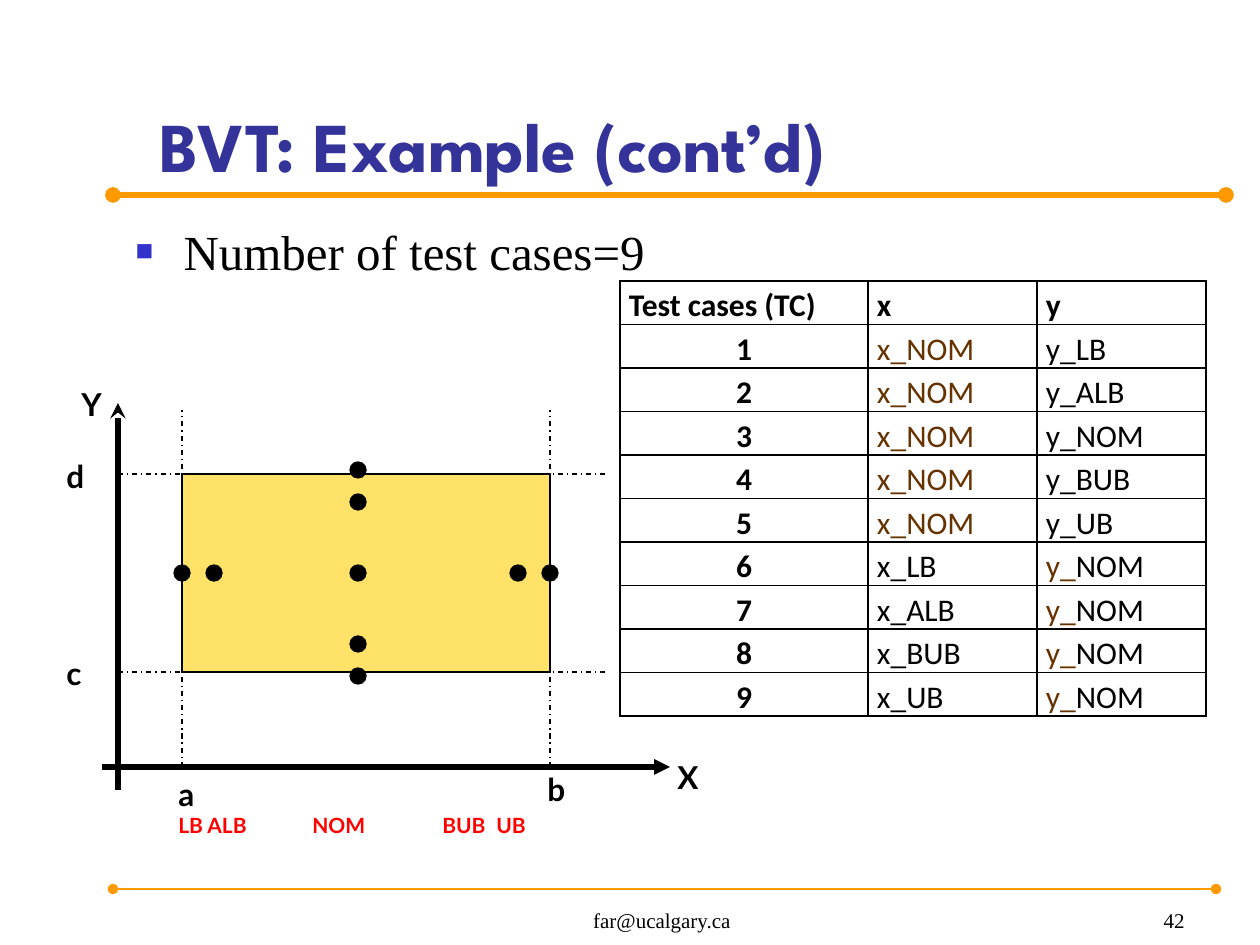
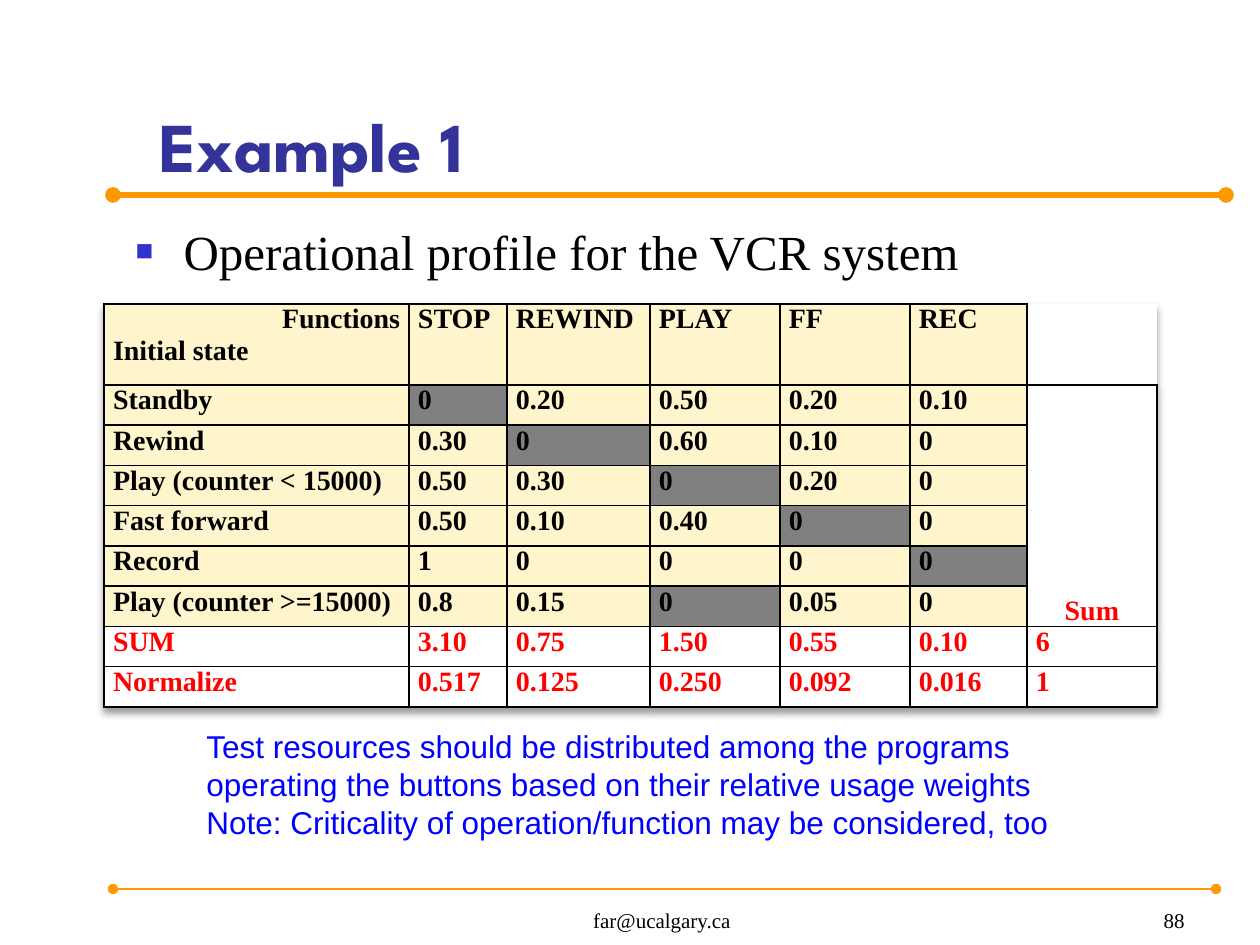
from dataclasses import dataclass
from typing import Optional

import lxml.etree
import pptx
import pptx.dml.color
import pptx.enum.dml
import pptx.enum.shapes
import pptx.enum.text
import pptx.oxml.ns
import pptx.util

ALIGN = pptx.enum.text.PP_ALIGN
ANCHOR = pptx.enum.text.MSO_ANCHOR
AUTO_SIZE = pptx.enum.text.MSO_AUTO_SIZE
SHAPE = pptx.enum.shapes.MSO_SHAPE
Pt = pptx.util.Pt

EMU_PER_PX = 914400 / 126
COLORS = {
    "black": "000000", "white": "FFFFFF", "title": "333399", "bullet": "3333CC",
    "rule": "FF9900", "region": "FFE267", "nominal": "663300", "red": "FF0000",
    "cream": "FFF5CC", "gray": "808080", "note": "0000FF",
}
SERIF = "Times New Roman"


@dataclass(frozen=True)
class Style:
    font: str
    size: int
    color: str = "black"
    bold: bool = False


@dataclass(frozen=True)
class Line:
    start: tuple[int, int]
    end: tuple[int, int]
    color: str = "black"
    width: float = 0.75
    head: Optional[str] = None
    tail: Optional[str] = None
    dashed: bool = False


@dataclass(frozen=True)
class Text:
    box: tuple[int, int, int, int]
    text: str
    style: Style
    align: ALIGN = ALIGN.LEFT
    anchor: ANCHOR = ANCHOR.TOP
    wrap: bool = True
    grow: bool = True


TITLE = Style("League Spartan", 40, "title", True)
BODY = Style(SERIF, 28)
FOOTER = Style(SERIF, 12)
AXIS = Style("Lato", 18, bold=True)
BOUNDS = Style("Lato", 12, "red", True)
CASES = Style("Calibri", 18)
CASES_BOLD = Style("Calibri", 18, bold=True)
CASES_NOMINAL = Style("Calibri", 18, "nominal")
PROFILE = Style(SERIF, 16, bold=True)
PROFILE_SUM = Style(SERIF, 16, "red", True)
NOTE = Style("Arial", 18, "note")


# Shared helpers
def px(length: float) -> int:
    return round(length * EMU_PER_PX)


def rgb(name: str) -> pptx.dml.color.RGBColor:
    return pptx.dml.color.RGBColor.from_string(COLORS[name])


def add_xml(parent, tag: str, **attributes):
    return lxml.etree.SubElement(parent, pptx.oxml.ns.qn(tag), attributes)


def style_run(run, style: Style) -> None:
    run.font.name = style.font
    run.font.size = Pt(style.size)
    run.font.bold = style.bold
    run.font.color.rgb = rgb(style.color)


def style_frame(frame, style: Style, align: ALIGN) -> None:
    for paragraph in frame.paragraphs:
        paragraph.alignment = align
        for run in paragraph.runs:
            style_run(run, style)


def place(shape, box: tuple[int, int, int, int]) -> None:
    shape.left, shape.top, shape.width, shape.height = map(px, box)


def draw_line(slide, line: Line) -> None:
    connector = slide.shapes.add_connector(
        pptx.enum.shapes.MSO_CONNECTOR.STRAIGHT, *map(px, line.start + line.end))
    connector.line.color.rgb = rgb(line.color)
    connector.line.width = Pt(line.width)
    if line.dashed:
        connector.line.dash_style = pptx.enum.dml.MSO_LINE.DASH_DOT
    properties = connector._element.spPr
    outline = properties.find(pptx.oxml.ns.qn("a:ln"))
    if line.head:
        add_xml(outline, "a:headEnd", type=line.head)
    if line.tail:
        add_xml(outline, "a:tailEnd", type=line.tail)
    add_xml(properties, "a:effectLst")


def draw_text(slide, item: Text):
    frame = slide.shapes.add_textbox(*map(px, item.box)).text_frame
    frame.word_wrap = item.wrap
    frame.auto_size = AUTO_SIZE.SHAPE_TO_FIT_TEXT if item.grow else AUTO_SIZE.NONE
    frame.vertical_anchor = item.anchor
    frame.text = item.text
    style_frame(frame, item.style, item.align)
    return frame


def draw_shape(slide, kind: SHAPE, box: tuple[int, int, int, int], fill: str) -> None:
    shape = slide.shapes.add_shape(kind, *map(px, box))
    shape.shadow.inherit = False
    shape.fill.solid()
    shape.fill.fore_color.rgb = rgb(fill)
    shape.line.color.rgb = rgb("black")
    shape.line.width = Pt(0.75)


def add_bullet(paragraph) -> None:
    paragraph.space_before = Pt(0)
    properties = paragraph._p.get_or_add_pPr()
    properties.set("marL", str(px(48)))
    properties.set("indent", str(-px(48)))
    add_xml(add_xml(properties, "a:buClr"), "a:srgbClr", val=COLORS["bullet"])
    add_xml(properties, "a:buSzPct", val="60000")
    add_xml(properties, "a:buFont", typeface="Arial")
    add_xml(properties, "a:buChar", char="■")


def new_slide(prs, title: str, bullet: str, body_height: int, number: int):
    slide = prs.slides.add_slide(prs.slide_layouts[1])
    heading, body = slide.shapes.title, slide.placeholders[1]
    place(heading, (147, 35, 1085, 158))
    heading.text_frame.text = title
    heading.text_frame.vertical_anchor = ANCHOR.BOTTOM
    style_frame(heading.text_frame, TITLE, ALIGN.LEFT)
    place(body, (123, 215, 1103, body_height))
    body.text_frame.text = bullet
    add_bullet(body.text_frame.paragraphs[0])
    style_frame(body.text_frame, BODY, ALIGN.LEFT)
    for placeholder in (heading, body):
        placeholder.text_frame.auto_size = AUTO_SIZE.NONE

    draw_line(slide, Line((113, 195), (1226, 195), "rule", 3, "oval", "oval"))
    draw_line(slide, Line((113, 889), (1216, 889), "rule", 1.5, "oval", "oval"))
    for box, text, align in (((462, 883, 400, 56), "far@ucalgary.ca", ALIGN.CENTER),
                             ((935, 883, 262, 56), str(number), ALIGN.RIGHT)):
        draw_text(slide, Text(box, text, FOOTER, align, ANCHOR.BOTTOM, grow=False))
    return slide


# Tables
def new_table(slide, left: int, top: int, columns: list[int], rows: list[float]):
    table = slide.shapes.add_table(len(rows), len(columns), px(left), px(top),
                                   px(sum(columns)), px(sum(rows))).table
    table.first_row = table.horz_banding = False
    for column, width in zip(table.columns, columns):
        column.width = px(width)
    for row, height in zip(table.rows, rows):
        row.height = px(height)
    return table


def format_cell(cell, fill: Optional[str] = None, sides: str = "LRTB") -> None:
    cell.margin_left = cell.margin_right = px(9)
    cell.margin_top = cell.margin_bottom = 0
    properties = cell._tc.get_or_add_tcPr()
    for side in "LRTB":
        border = add_xml(properties, f"a:ln{side}", w=str(Pt(1)))
        if side in sides:
            add_xml(add_xml(border, "a:solidFill"), "a:srgbClr", val=COLORS["black"])
        else:
            add_xml(border, "a:noFill")
    if fill:
        cell.fill.solid()
        cell.fill.fore_color.rgb = rgb(fill)
    else:
        cell.fill.background()


def draw_test_cases(slide) -> None:
    bounds = ("LB", "ALB", "NOM", "BUB", "UB")
    nominal = CASES_NOMINAL
    rows = [[[(name, CASES_BOLD)] for name in ("Test cases (TC)", "x", "y")]]
    pairs = [([("x_NOM", nominal)], [(f"y_{b}", CASES)]) for b in bounds]
    pairs += [([(f"x_{b}", CASES)], [("y_", nominal), ("NOM", CASES)])
              for b in bounds if b != "NOM"]
    rows += [[[(str(n), CASES_BOLD)], *pair] for n, pair in enumerate(pairs, 1)]

    table = new_table(slide, 620, 281, [248, 169, 169], [41] * len(rows))
    for r, row in enumerate(rows):
        for c, pieces in enumerate(row):
            cell = table.cell(r, c)
            format_cell(cell)
            paragraph = cell.text_frame.paragraphs[0]
            paragraph.line_spacing = 1.15
            paragraph.alignment = ALIGN.CENTER if r and not c else ALIGN.LEFT
            for text, style in pieces:
                run = paragraph.add_run()
                run.text = text
                style_run(run, style)


def draw_profile(slide) -> None:
    rows = [
        ("Functions\nInitial state", "STOP", "REWIND", "PLAY", "FF", "REC", ""),
        ("Standby", "0", "0.20", "0.50", "0.20", "0.10", "Sum"),
        ("Rewind", "0.30", "0", "0.60", "0.10", "0", ""),
        ("Play (counter < 15000)", "0.50", "0.30", "0", "0.20", "0", ""),
        ("Fast forward", "0.50", "0.10", "0.40", "0", "0", ""),
        ("Record", "1", "0", "0", "0", "0", ""),
        ("Play (counter >=15000)", "0.8", "0.15", "0", "0.05", "0", ""),
        ("SUM", "3.10", "0.75", "1.50", "0.55", "0.10", "6"),
        ("Normalize", "0.517", "0.125", "0.250", "0.092", "0.016", "1"),
    ]
    same_function = {(1, 1), (2, 2), (3, 3), (4, 4), (5, 5), (6, 3)}
    sum_row, sum_column = 7, 6
    header, height = 81, 403
    table = new_table(slide, 104, 304, [305, 98, 143, 130, 130, 117, 130],
                      [header] + [(height - header) / 8] * 8)
    for r, row in enumerate(rows):
        for c, text in enumerate(row):
            cell = table.cell(r, c)
            totals = r >= sum_row or c == sum_column
            fill = "gray" if (r, c) in same_function else "white" if totals else "cream"
            format_cell(cell, fill, "LB" if (r, c) == (0, sum_column) else "LRTB")
            if text:
                cell.text_frame.text = text
                style_frame(cell.text_frame, PROFILE_SUM if totals else PROFILE, ALIGN.JUSTIFY)
    table.cell(0, 0).text_frame.paragraphs[0].alignment = ALIGN.RIGHT
    sum_label = table.cell(1, sum_column)
    sum_label.merge(table.cell(sum_row - 1, sum_column))
    sum_label.vertical_anchor = ANCHOR.BOTTOM
    sum_label.text_frame.paragraphs[0].alignment = ALIGN.CENTER

    # Soft shadow below the table
    properties = table._tbl.tblPr
    effects = add_xml(properties, "a:effectLst")
    properties.insert(0, effects)
    shadow = add_xml(effects, "a:outerShdw", blurRad="50800", dist="38100",
                     dir="5400000", algn="t", rotWithShape="0")
    add_xml(add_xml(shadow, "a:srgbClr", val=COLORS["black"]), "a:alpha", val="40000")


# Input domain diagram
def draw_domain(slide) -> None:
    a, b, d, c = 182, 550, 474, 672
    axis_x, axis_y = 118, 767
    nominal_x, nominal_y = 358, 573
    draw_line(slide, Line((axis_x, 790), (axis_x, 403), width=3, tail="stealth"))
    draw_line(slide, Line((102, axis_y), (670, axis_y), width=3, tail="triangle"))
    for y in (d, c):
        draw_line(slide, Line((axis_x, y), (606, y), dashed=True))
    for x in (a, b):
        draw_line(slide, Line((x, axis_y), (x, 410), dashed=True))
    draw_shape(slide, SHAPE.RECTANGLE, (a, d, b - a, c - d), "region")

    for name, left, top in (("a", 166, 769), ("b", 535, 764), ("d", 54, 451),
                            ("c", 54, 648), ("X", 665, 752), ("Y", 69, 379)):
        size = (43, 48) if name.isupper() else (33, 38)
        draw_text(slide, Text((left, top, *size), name, AXIS, wrap=False))

    test_points = [(x, nominal_y) for x in (a, a + 32, nominal_x, b - 32, b)]
    test_points += [(nominal_x, nominal_y + dy) for dy in (-103, -71, 71, 103)]
    for x, y in test_points:
        draw_shape(slide, SHAPE.OVAL, (x - 8, y - 8, 16, 16), "black")

    bounds = draw_text(slide, Text((166, 806, 493, 38), "LB\tALB\tNOM\tBUB\tUB", BOUNDS))
    tabs = add_xml(bounds.paragraphs[0]._p.get_or_add_pPr(), "a:tabLst")
    for stop in (29, 134, 264, 318):
        add_xml(tabs, "a:tab", pos=str(px(stop)), algn="l")


def main() -> None:
    prs = pptx.Presentation()
    prs.slide_width, prs.slide_height = px(1260), px(945)

    boundary = new_slide(prs, "BVT: Example (cont’d)", "Number of test cases=9", 113, 42)
    draw_domain(boundary)
    draw_test_cases(boundary)

    profile = new_slide(prs, "Example 1", "Operational profile for the VCR system", 179, 88)
    draw_profile(profile)
    draw_text(profile, Text(
        (194, 721, 964, 127),
        "Test resources should be distributed among the programs operating the buttons "
        "based on their relative usage weights\n"
        "Note: Criticality of operation/function may be considered, too", NOTE))

    prs.save("out.pptx")


if __name__ == "__main__":
    main()
